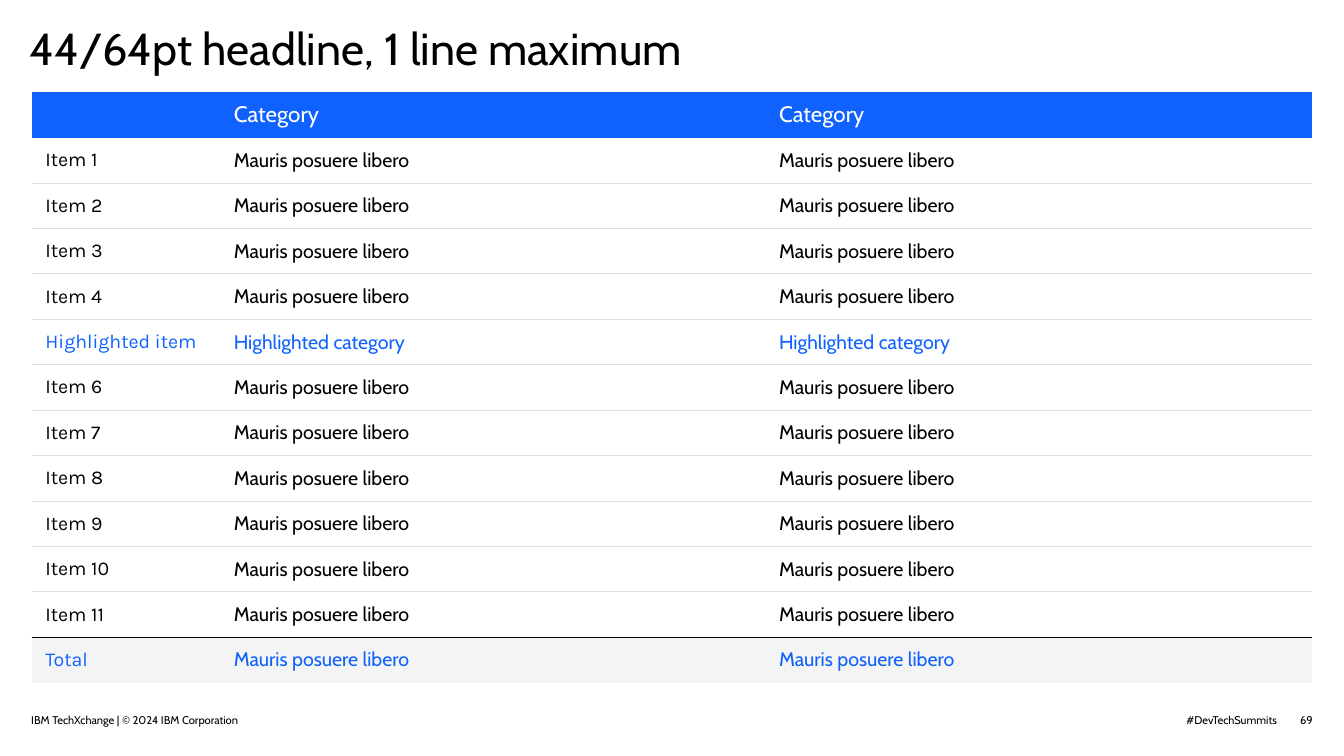
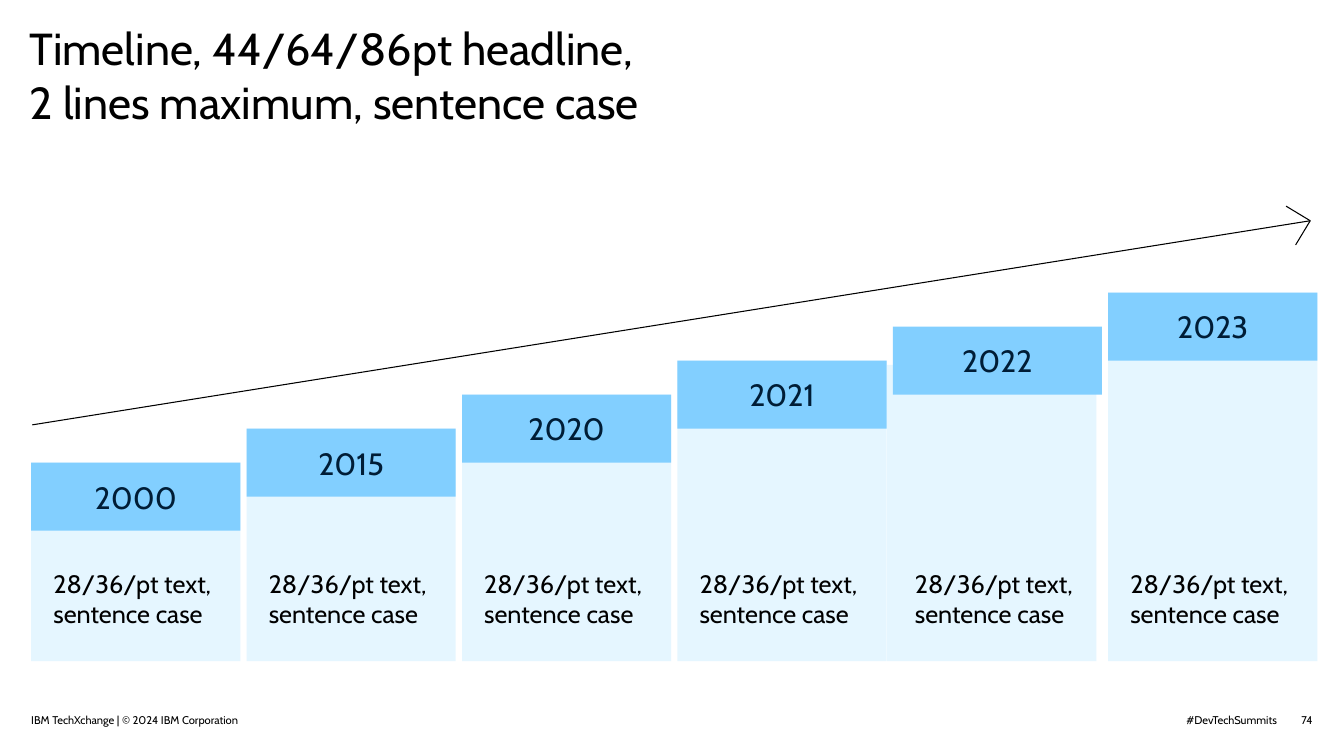
from lxml.etree import SubElement
from pptx import Presentation
from pptx.dml.color import RGBColor
from pptx.enum.shapes import MSO_CONNECTOR, MSO_SHAPE
from pptx.enum.text import MSO_ANCHOR as Anchor, MSO_AUTO_SIZE as AutoSize, PP_ALIGN as Align
from pptx.oxml.ns import qn
from pptx.util import Inches, Pt

BLACK = RGBColor(0x00, 0x00, 0x00)
WHITE = RGBColor(0xFF, 0xFF, 0xFF)
BLUE = RGBColor(0x0F, 0x62, 0xFE)
RULE_GRAY = RGBColor(0xE0, 0xE0, 0xE0)
TOTAL_GRAY = RGBColor(0xF4, 0xF4, 0xF4)
SKY = RGBColor(0x82, 0xCF, 0xFF)
PALE_SKY = RGBColor(0xE5, 0xF6, 0xFF)
NAVY = RGBColor(0x00, 0x1D, 0x36)

BODY_FONT = "Cabin"
ITEM_FONT = "Karla"
LINE_WIDTH = Pt(1.5)

COPYRIGHT = "IBM TechXchange | © 2024 IBM Corporation"
HASHTAG = "#DevTechSummits"

FILLER = "Mauris posuere libero"
HIGHLIGHT_ROW = 5
TABLE_ROWS = [("", "Category", "Category")]
TABLE_ROWS += [(f"Item {number}", FILLER, FILLER) for number in range(1, 12)]
TABLE_ROWS[HIGHLIGHT_ROW] = ("Highlighted item", "Highlighted category", "Highlighted category")
TABLE_ROWS.append(("Total", FILLER, FILLER))
TOTAL_ROW = len(TABLE_ROWS) - 1

YEARS = ("2000", "2015", "2020", "2021", "2022", "2023")
STEP_TEXT = "28/36/pt text,\vsentence case"
BODY_OFFSETS = {"2022": (-0.11, 0.76)}  # right and down from its year band


def apply_format(target, values):
    for attribute, value in values.items():
        setattr(target, attribute, value)


def inches(*lengths):
    return [Inches(length) for length in lengths]


class Deck:
    def __init__(self):
        self.prs = Presentation()
        self.prs.slide_width = Inches(26.67)
        self.prs.slide_height = Inches(15)
        self.slide = None

    def start_slide(self, headline, number):
        self.slide = self.prs.slides.add_slide(self.prs.slide_layouts[5])
        title = self.slide.shapes.title
        title.left, title.top, title.width, title.height = inches(0.59, 0.42, 16.07, 3.13)
        self.fill_text(title.text_frame, headline, 64, margins=(0, 0, 0.5, 0))
        self.text((0.62, 14, 5.42, 0.42), COPYRIGHT, 16, anchor=Anchor.BOTTOM)
        self.text((23.32, 14.15, 2.02, 0.27), HASHTAG, 16, align=Align.RIGHT)
        self.text((25.75, 14.15, 0.3, 0.27), number, 16, align=Align.RIGHT,
                  anchor=Anchor.MIDDLE, wrap=False)

    def fill_text(self, frame, words, size, color=BLACK, align=Align.LEFT,
                  anchor=Anchor.TOP, margins=(0, 0, 0, 0), wrap=True):
        left, top, right, bottom = inches(*margins)
        apply_format(frame, {
            "text": words, "word_wrap": wrap, "auto_size": AutoSize.NONE,
            "vertical_anchor": anchor, "margin_left": left, "margin_top": top,
            "margin_right": right, "margin_bottom": bottom})
        paragraph = frame.paragraphs[0]
        paragraph.alignment = align
        for run in paragraph.runs:
            self.style_font(run.font, size, color)

    def style_font(self, font, size, color, name=BODY_FONT):
        apply_format(font, {"name": name, "size": Pt(size), "bold": False})
        font.color.rgb = color

    def text(self, box, words, size, **style):
        textbox = self.slide.shapes.add_textbox(*inches(*box))
        self.fill_text(textbox.text_frame, words, size, **style)

    def band(self, box, color, words=None):
        rectangle = self.slide.shapes.add_shape(MSO_SHAPE.RECTANGLE, *inches(*box))
        rectangle.shadow.inherit = False
        rectangle.fill.solid()
        rectangle.fill.fore_color.rgb = color
        rectangle.line.fill.background()
        if words:
            self.fill_text(rectangle.text_frame, words, 44, color=NAVY, align=Align.CENTER,
                           anchor=Anchor.MIDDLE, margins=(0.08,) * 4)

    def stroke(self, outline):
        outline.line.color.rgb = BLACK
        outline.line.width = LINE_WIDTH

    def arrow(self, start, tip, barbs):
        """Draw a straight line with an open head at the tip."""
        shapes = self.slide.shapes
        shaft = shapes.add_connector(MSO_CONNECTOR.STRAIGHT, *inches(*start, *tip))
        self.stroke(shaft)
        SubElement(shaft._element.spPr, qn("a:effectLst"))
        upper, lower = barbs
        builder = shapes.build_freeform(*inches(*upper))
        builder.add_line_segments([inches(*tip), inches(*lower)], close=False)
        head = builder.convert_to_shape()
        head.shadow.inherit = False
        head.fill.background()
        self.stroke(head)

    def table(self, box, column_widths, rows):
        frame = self.slide.shapes.add_table(len(rows), len(column_widths), *inches(*box))
        grid = frame.table
        grid.horz_banding = False
        for column, width in zip(grid.columns, column_widths):
            column.width = Inches(width)
        for row, texts in enumerate(rows):
            for column, words in enumerate(texts):
                self.table_cell(grid.cell(row, column), row, column, words)

    def table_cell(self, cell, row, column, words):
        apply_format(cell, {
            "text": words, "vertical_anchor": Anchor.MIDDLE,
            "margin_left": Inches(0.27), "margin_right": Inches(0.27),
            "margin_top": Inches(0.14), "margin_bottom": Inches(0.14)})
        color = BLUE if row in (HIGHLIGHT_ROW, TOTAL_ROW) else BLACK
        if row == 0:
            color = WHITE
        self.style_font(cell.text_frame.paragraphs[0].font, 28 if row else 32, color,
                        BODY_FONT if column else ITEM_FONT)
        self.cell_borders(cell, self.rule_below(row - 1), self.rule_below(row))
        fill_color = {0: BLUE, TOTAL_ROW: TOTAL_GRAY}.get(row)
        if fill_color is None:
            cell.fill.background()
        else:
            cell.fill.solid()
            cell.fill.fore_color.rgb = fill_color

    def rule_below(self, row):
        if row < 1 or row == TOTAL_ROW:
            return None
        return BLACK if row == TOTAL_ROW - 1 else RULE_GRAY

    def cell_borders(self, cell, top, bottom):
        properties = cell._tc.get_or_add_tcPr()
        for side, color in (("L", None), ("R", None), ("T", top), ("B", bottom)):
            border = SubElement(properties, qn(f"a:ln{side}"), w=str(int(LINE_WIDTH)))
            if color is None:
                SubElement(border, qn("a:noFill"))
            else:
                paint = SubElement(border, qn("a:solidFill"))
                SubElement(paint, qn("a:srgbClr"), val=str(color))


def build_table_slide(deck):
    deck.start_slide("44/64pt headline, 1 line maximum", "69")
    deck.table((0.63, 1.83, 25.4, 11.72), (3.74, 10.82, 10.84), TABLE_ROWS)


def build_timeline_slide(deck):
    deck.start_slide("Timeline, 44/64/86pt headline,\v2 lines maximum, sentence case", "74")
    deck.arrow((0.64, 8.43), (26, 4.38), ((25.52, 4.09), (25.71, 4.86)))
    step_width, band_height, floor = 4.15, 1.35, 13.12
    step_pitch = (21.99 - 0.62) / (len(YEARS) - 1)
    for index, year in enumerate(YEARS):
        left = 0.62 + step_pitch * index
        top = 9.18 - band_height / 2 * index
        shift, drop = BODY_OFFSETS.get(year, (0, 0))
        deck.band((left + shift, top + drop, step_width, floor - top - drop), PALE_SKY)
        deck.text((left + 0.44, 11.26, 3.28, 1.21), STEP_TEXT, 36, anchor=Anchor.BOTTOM)
        deck.band((left, top, step_width, band_height), SKY, year)


def main():
    deck = Deck()
    build_table_slide(deck)
    build_timeline_slide(deck)
    deck.prs.save("out.pptx")


if __name__ == "__main__":
    main()
